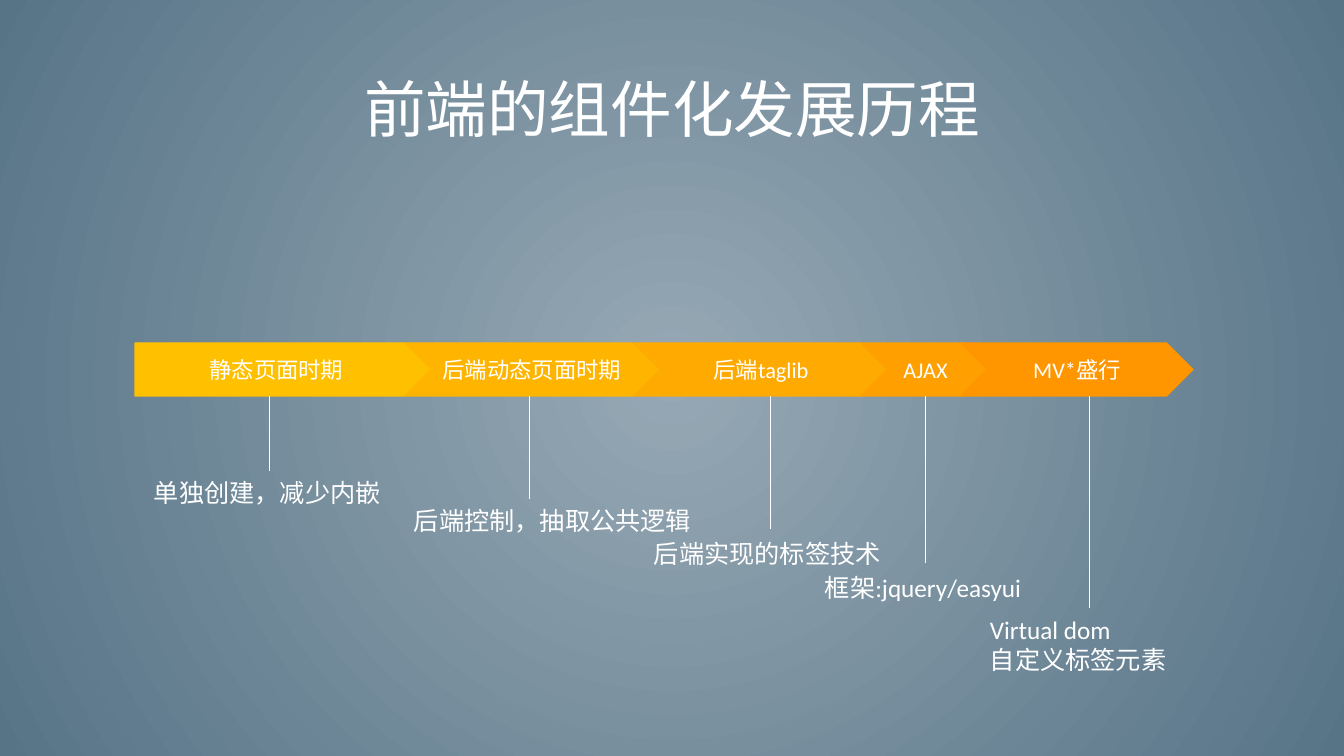
from dataclasses import dataclass

from lxml import etree
from pptx import Presentation
from pptx.dml.color import RGBColor
from pptx.enum.shapes import MSO_CONNECTOR, MSO_SHAPE
from pptx.enum.text import MSO_ANCHOR, MSO_AUTO_SIZE, PP_ALIGN
from pptx.oxml.ns import qn
from pptx.util import Emu, Pt

PENTAGON, CHEVRON = MSO_SHAPE.PENTAGON, MSO_SHAPE.CHEVRON
STRAIGHT = MSO_CONNECTOR.STRAIGHT
CENTER, LEFT = PP_ALIGN.CENTER, PP_ALIGN.LEFT
MIDDLE, TOP = MSO_ANCHOR.MIDDLE, MSO_ANCHOR.TOP
NO_AUTOFIT = MSO_AUTO_SIZE.NONE

PIXEL = 914400 / 100.8
FONT, WHITE = "Calibri", "FFFFFF"
BAND_TOP, BAND_HEIGHT = 343, 53
BAND_BOTTOM = BAND_TOP + BAND_HEIGHT


@dataclass
class Era:
    name: str
    color: str
    left: int
    width: int
    stem: int
    stem_end: int
    note: str
    note_left: int
    note_top: int
    note_width: int
    note_height: int = 40
    wrap: bool = False


ERAS = [
    Era("静态页面时期", "FFC000", 135, 296, 269, 471,
        "单独创建，减少内嵌", 144, 472, 249),
    Era("后端动态页面时期", "FFB500", 405, 254, 529, 499,
        "后端控制，抽取公共逻辑", 404, 500, 300),
    Era("后端taglib", "FFAA00", 634, 254, 770, 529,
        "后端实现的标签技术", 644, 533, 249),
    Era("AJAX", "FFA000", 861, 129, 925, 563,
        "框架:jquery/easyui", 815, 567, 219, wrap=True),
    Era("MV*盛行", "FF9600", 961, 232, 1089, 608,
        "Virtual dom\n自定义标签元素", 980, 609, 219, 72, wrap=True),
]


def px(pixels: int) -> Emu:
    return Emu(round(pixels * PIXEL))


def rgb(color: str) -> RGBColor:
    return RGBColor.from_string(color)


def write(frame, text: str, size: int, align, anchor, wrap: bool = True) -> None:
    frame.text = text
    frame.word_wrap = wrap
    frame.auto_size = NO_AUTOFIT
    frame.vertical_anchor = anchor
    for para in frame.paragraphs:
        para.alignment = align
        for span in para.runs:
            span.font.name = FONT
            span.font.size = Pt(size)
            span.font.color.rgb = rgb(WHITE)


def paint_background(page, inner: str, outer: str) -> None:
    fill = page.background.fill
    fill.gradient()
    for stop, position, color in zip(fill.gradient_stops, (0, 1), (inner, outer)):
        stop.position = position
        stop.color.rgb = rgb(color)
    # Turn the linear gradient into a circle around the centre
    linear = next(page.background._cSld.iter(qn("a:lin")))
    circle = etree.Element(qn("a:path"), {"path": "circle"})
    etree.SubElement(circle, qn("a:fillToRect"), dict.fromkeys("ltrb", "50000"))
    linear.getparent().replace(linear, circle)


def draw_step(page, era: Era, outline) -> None:
    step = page.shapes.add_shape(outline, px(era.left), px(BAND_TOP),
                                 px(era.width), px(BAND_HEIGHT))
    step.shadow.inherit = False
    step.fill.solid()
    step.fill.fore_color.rgb = rgb(era.color)
    step.line.color.rgb = rgb(era.color)
    step.line.width = Pt(1)
    write(step.text_frame, era.name, 16, CENTER, MIDDLE)


def draw_note(page, era: Era) -> None:
    stem = page.shapes.add_connector(STRAIGHT, px(era.stem), px(BAND_BOTTOM),
                                     px(era.stem), px(era.stem_end))
    stem.line.color.rgb = rgb(WHITE)
    stem.line.width = Pt(0.5)
    etree.SubElement(stem._element.spPr, qn("a:effectLst"))
    box = page.shapes.add_textbox(px(era.note_left), px(era.note_top),
                                  px(era.note_width), px(era.note_height))
    write(box.text_frame, era.note, 18, LEFT, TOP, era.wrap)


deck = Presentation()
deck.slide_width, deck.slide_height = px(1344), px(756)
page = deck.slides.add_slide(deck.slide_layouts[5])
paint_background(page, "96A8B4", "577487")

# Title
title = page.shapes.title
title.left, title.top, title.width, title.height = px(93), px(40), px(1159), px(146)
write(title.text_frame, "前端的组件化发展历程", 44, CENTER, MIDDLE)
title.text_frame.paragraphs[0].line_spacing = 0.9

# Timeline band
for index, era in enumerate(ERAS):
    draw_step(page, era, CHEVRON if index else PENTAGON)

# Notes hanging below the band
for era in ERAS:
    draw_note(page, era)

deck.save("out.pptx")
